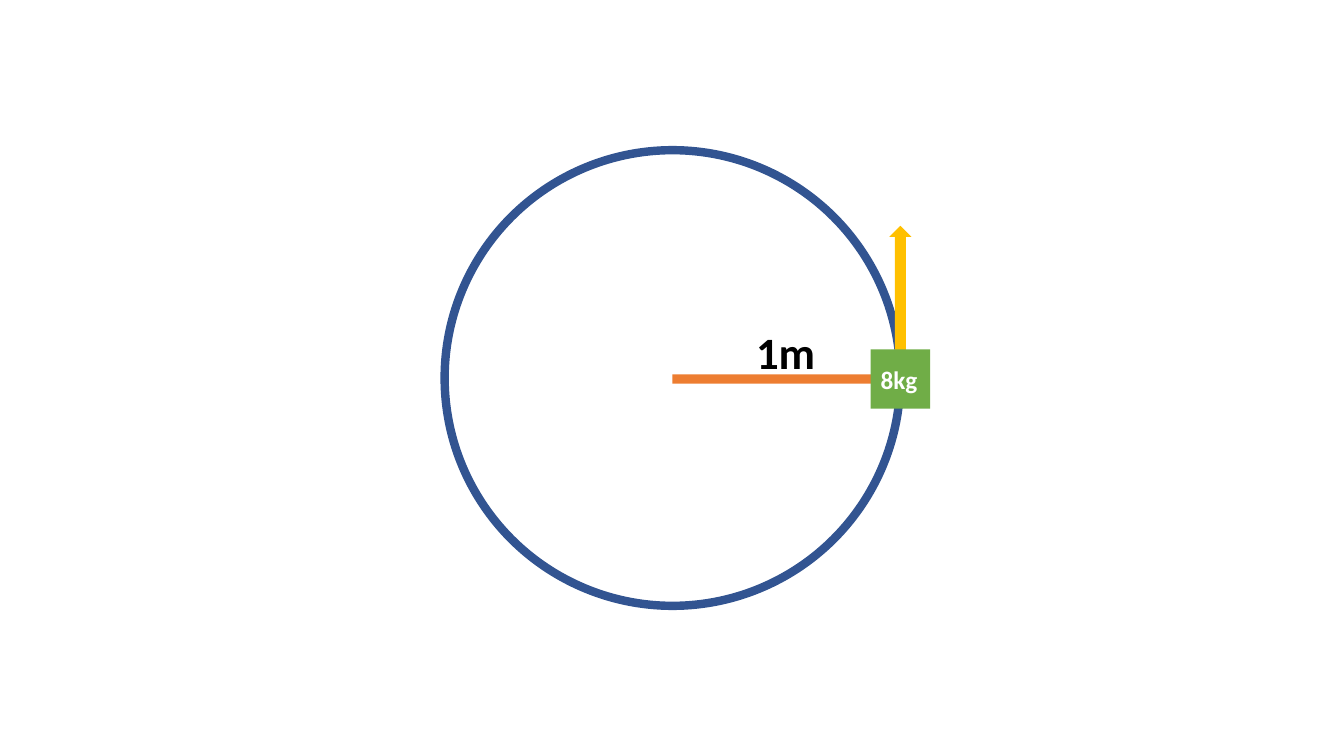
from pptx import Presentation
from pptx.dml.color import RGBColor
from pptx.enum.shapes import MSO_SHAPE
from pptx.enum.text import MSO_ANCHOR, MSO_AUTO_SIZE, PP_ALIGN
from pptx.util import Inches, Pt

COLORS = {
    "circle": "325491",
    "radius": "ED7D31",
    "velocity": "FFC000",
    "mass": "70AD47",
    "label": "000000",
    "mass_label": "FFFFFF",
}


def color(name):
    return RGBColor.from_string(COLORS[name])


def add_solid(slide, kind, left, top, width, height, fill):
    """Add a filled preset shape without line or shadow."""
    sp = slide.shapes.add_shape(
        kind, Inches(left), Inches(top), Inches(width), Inches(height))
    sp.shadow.inherit = False
    sp.fill.solid()
    sp.fill.fore_color.rgb = color(fill)
    sp.line.fill.background()
    return sp


def write(sp, text, size, fill, **frame_format):
    tf = sp.text_frame
    for name, value in frame_format.items():
        setattr(tf, name, value)
    p = tf.paragraphs[0]
    p.alignment = PP_ALIGN.LEFT
    r = p.add_run()
    r.text = text
    for name, value in {"name": "Calibri", "size": Pt(size), "bold": True}.items():
        setattr(r.font, name, value)
    r.font.color.rgb = color(fill)


def add_circular_motion(slide, left, top, diameter):
    """Draw a mass on a circular path with its radius and velocity."""
    radius = diameter / 2
    center_x, center_y = left + radius, top + radius
    edge_x = left + diameter
    bar, block = 0.09, 0.59
    arrow_width, arrow_height = 0.22, 1.56

    add_solid(slide, MSO_SHAPE.RECTANGLE, center_x, center_y - bar / 2 + 0.01,
              radius, bar, "radius")

    circle = slide.shapes.add_shape(
        MSO_SHAPE.OVAL, Inches(left), Inches(top), Inches(diameter), Inches(diameter))
    circle.shadow.inherit = False
    circle.fill.background()
    circle.line.color.rgb = color("circle")
    circle.line.width = Pt(6)

    label = slide.shapes.add_textbox(
        Inches(center_x + 0.73), Inches(center_y - 0.58), Inches(0.79), Inches(0.64))
    write(label, "1m", 32, "label", word_wrap=False,
          auto_size=MSO_AUTO_SIZE.SHAPE_TO_FIT_TEXT)

    add_solid(slide, MSO_SHAPE.UP_ARROW, edge_x - arrow_width / 2,
              center_y + 0.05 - arrow_height, arrow_width, arrow_height, "velocity")

    mass = add_solid(slide, MSO_SHAPE.RECTANGLE, edge_x - block / 2,
                     center_y - block / 2 + 0.01, block, block, "mass")
    write(mass, "8kg", 18, "mass_label", word_wrap=True,
          vertical_anchor=MSO_ANCHOR.MIDDLE)


def main():
    prs = Presentation()
    prs.slide_width, prs.slide_height = Inches(13.33), Inches(7.5)
    s = prs.slides.add_slide(prs.slide_layouts[6])
    add_circular_motion(s, 4.41, 1.49, 4.52)
    prs.save("out.pptx")


if __name__ == "__main__":
    main()
